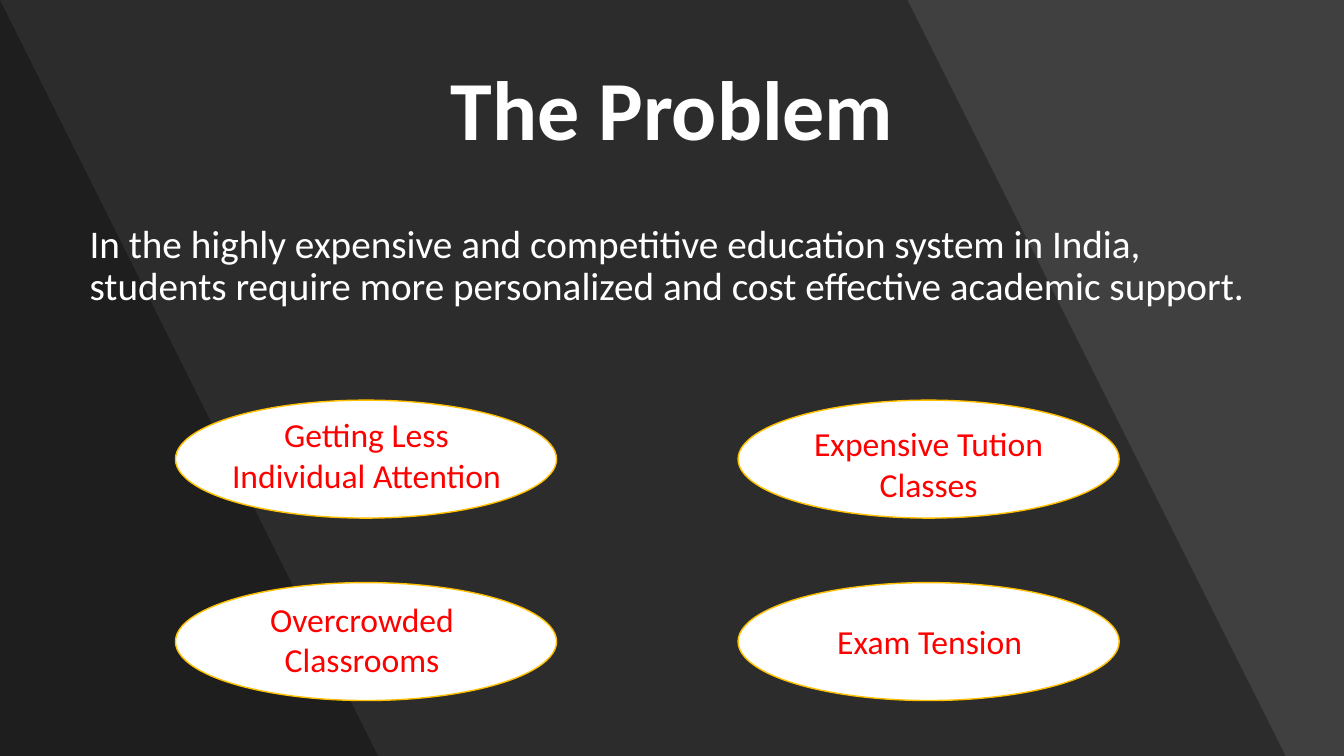
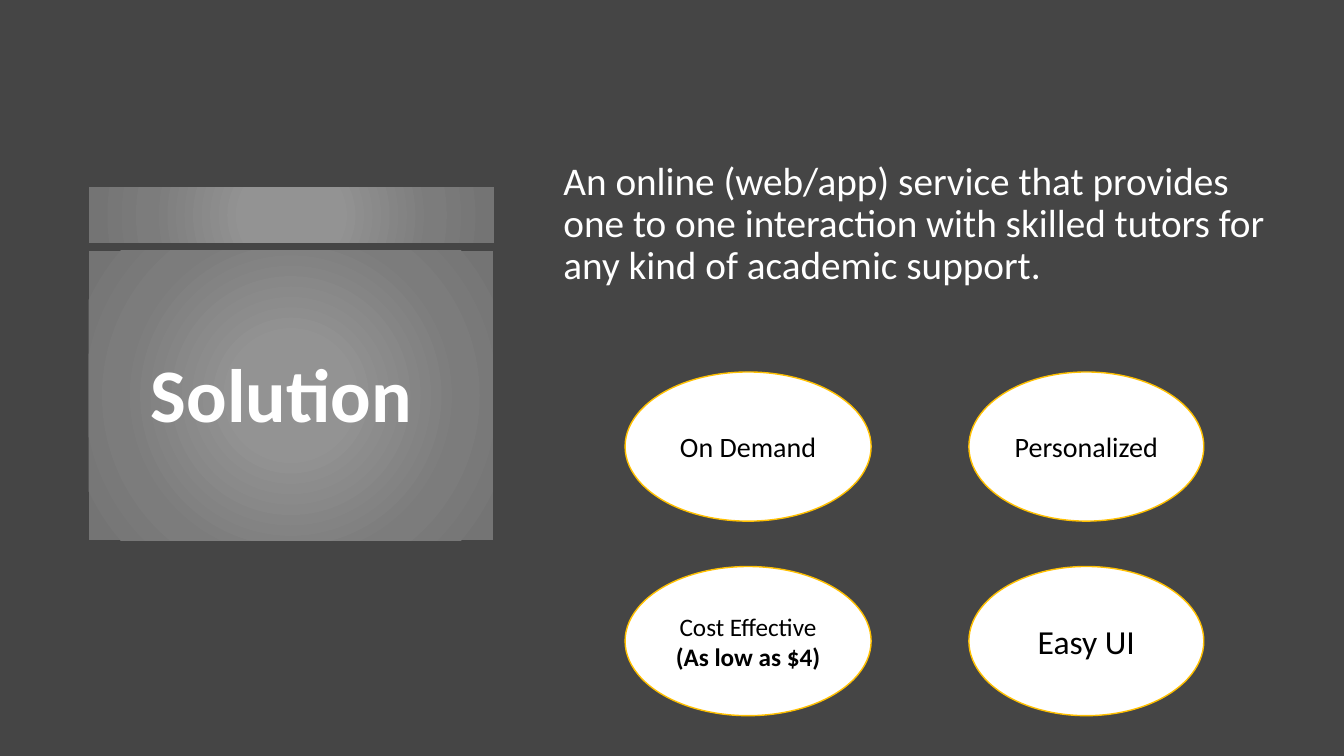
from lxml.etree import SubElement
from pptx import Presentation
from pptx.dml.color import RGBColor
from pptx.enum.shapes import MSO_SHAPE as Preset
from pptx.enum.text import MSO_ANCHOR as Anchor, PP_ALIGN as Align
from pptx.oxml import parse_xml
from pptx.oxml.ns import nsdecls, qn
from pptx.util import Inches, Pt

FONT = "Calibri"
COLORS = {
    "problem_bg": "404040",
    "solution_bg": "454545",
    "shade": "000000",
    "white": "FFFFFF",
    "gold": "FFC000",
    "red": "FF0000",
    "black": "000000",
}
SHADE_OPACITY = 30
SHADES = [(9.42, 12.89), (0.44, 3.92)]
PANEL_STOPS = [(0, "939393"), (23, "939393"), (69, "7C7C7C"), (97, "747474")]
PANELS = [(0.88, 1.86, 4.02, 0.55), (0.88, 2.49, 4.01, 2.87)]

PROBLEM = {
    "title": "The Problem",
    "body": "In the highly expensive and competitive education system in India, "
            "students require more personalized and cost effective academic support.",
    "columns": [(1.74, 3.78), (7.32, 3.78)],
    "rows": [(3.97, 1.17), (5.78, 1.17)],
    "labels": [
        ("Getting Less Individual Attention", (2.13, 4.06, 3.01, 0.91)),
        ("Expensive Tution Classes", (7.87, 4.15, 2.68, 0.91)),
        ("Overcrowded Classrooms", (2.25, 5.89, 2.68, 0.91)),
        ("Exam Tension", (7.88, 6.11, 2.68, 0.5)),
    ],
}
SOLUTION = {
    "title": "Solution ",
    "body": "An online (web/app) service that provides one to one interaction "
            "with skilled tutors for any kind of academic support.",
    "columns": [(6.2, 2.44), (9.61, 2.33)],
    "rows": [(3.69, 1.48), (5.62, 1.48)],
    "features": [
        (["On Demand"], 20),
        (["Personalized"], 20),
        (["Cost Effective", "(As low as $4)"], 18),
        (["Easy UI"], 24),
    ],
}


def rgb(name):
    return RGBColor.from_string(COLORS[name])


def inches(box):
    return [Inches(length) for length in box]


def write(frame, lines, size, color, align=Align.CENTER, anchor=Anchor.TOP,
          bold_lines=(), spacing=None):
    frame.word_wrap = True
    frame.vertical_anchor = anchor
    for index, line in enumerate(lines):
        paragraph = frame.add_paragraph() if index else frame.paragraphs[0]
        paragraph.text = line
        paragraph.alignment = align
        if spacing:
            paragraph.line_spacing = spacing
        font = paragraph.font
        font.name, font.size, font.bold = FONT, Pt(size), index in bold_lines
        font.color.rgb = rgb(color)


def add_text(slide, box, text, size, color="white", **style):
    write(slide.shapes.add_textbox(*inches(box)).text_frame, [text], size, color, **style)


def add_title(slide, box, text, size):
    add_text(slide, box, text, size, anchor=Anchor.MIDDLE, bold_lines=(0,), spacing=0.9)


def add_body(slide, box, text, anchor):
    add_text(slide, box, text, 28, align=Align.LEFT, anchor=anchor, spacing=0.9)


def add_slide(deck, background):
    slide = deck.slides.add_slide(deck.slide_layouts[6])
    slide.background.fill.solid()
    slide.background.fill.fore_color.rgb = rgb(background)
    return slide


def add_ovals(slide, columns, rows):
    ovals = []
    for top, height in rows:
        for left, width in columns:
            oval = slide.shapes.add_shape(Preset.OVAL, *inches((left, top, width, height)))
            oval.shadow.inherit = False
            oval.fill.solid()
            oval.fill.fore_color.rgb = rgb("white")
            oval.line.color.rgb = rgb("gold")
            oval.line.width = Pt(1)
            ovals.append(oval)
    return ovals


def add_shade(slide, top_right, bottom_right):
    outline = slide.shapes.build_freeform(0, 0, scale=Inches(1))
    outline.add_line_segments([(top_right, 0), (bottom_right, 7.5), (0, 7.5)], close=True)
    shade = outline.convert_to_shape()
    shade.shadow.inherit = False
    shade.line.fill.background()
    shade.fill.solid()
    shade.fill.fore_color.rgb = rgb("shade")
    color = next(shade._element.spPr.iter(qn("a:srgbClr")))
    SubElement(color, qn("a:alpha"), val=str(SHADE_OPACITY * 1000))


def add_panel(group, box):
    panel = group.shapes.add_shape(Preset.RECTANGLE, *inches(box))
    panel.shadow.inherit = False
    panel.line.fill.background()
    stops = "".join(f'<a:gs pos="{pos * 1000}"><a:srgbClr val="{color}"/></a:gs>'
                    for pos, color in PANEL_STOPS)
    gradient = parse_xml(
        f'<a:gradFill {nsdecls("a")} rotWithShape="1"><a:gsLst>{stops}</a:gsLst>'
        '<a:path path="circle"><a:fillToRect l="50000" t="50000" r="50000" b="50000"/>'
        '</a:path></a:gradFill>')
    panel._element.spPr.find(qn("a:prstGeom")).addnext(gradient)


def build_problem(deck):
    slide = add_slide(deck, "problem_bg")
    for edge in SHADES:
        add_shade(slide, *edge)
    add_title(slide, (0.91, 0.4, 11.51, 1.45), PROBLEM["title"], 60)
    add_body(slide, (0.79, 2.18, 11.74, 4.54), PROBLEM["body"], Anchor.TOP)
    add_ovals(slide, PROBLEM["columns"], PROBLEM["rows"])
    for label, box in PROBLEM["labels"]:
        add_text(slide, box, label, 24, "red")


def build_solution(deck):
    slide = add_slide(deck, "solution_bg")
    group = slide.shapes.add_group_shape()
    for box in PANELS:
        add_panel(group, box)
    add_title(slide, (0.99, 2.64, 3.77, 2.62), SOLUTION["title"], 54)
    add_body(slide, (5.49, 0.86, 7.42, 2.74), SOLUTION["body"], Anchor.MIDDLE)
    ovals = add_ovals(slide, SOLUTION["columns"], SOLUTION["rows"])
    for oval, (lines, size) in zip(ovals, SOLUTION["features"]):
        write(oval.text_frame, lines, size, "black", anchor=Anchor.MIDDLE, bold_lines=(1,))


def main():
    deck = Presentation()
    deck.slide_width, deck.slide_height = Inches(13.33), Inches(7.5)
    build_problem(deck)
    build_solution(deck)
    deck.save("out.pptx")


if __name__ == "__main__":
    main()
